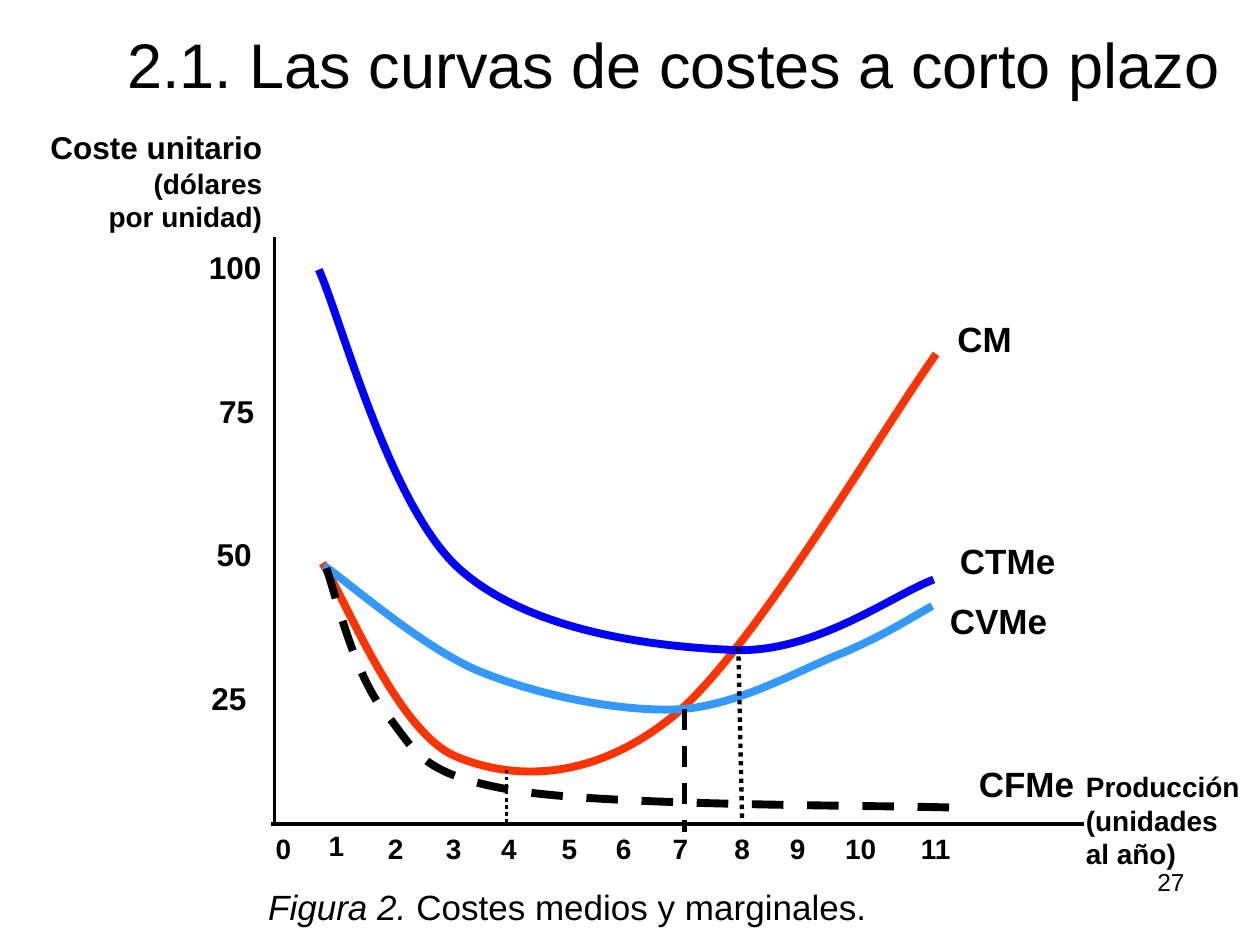
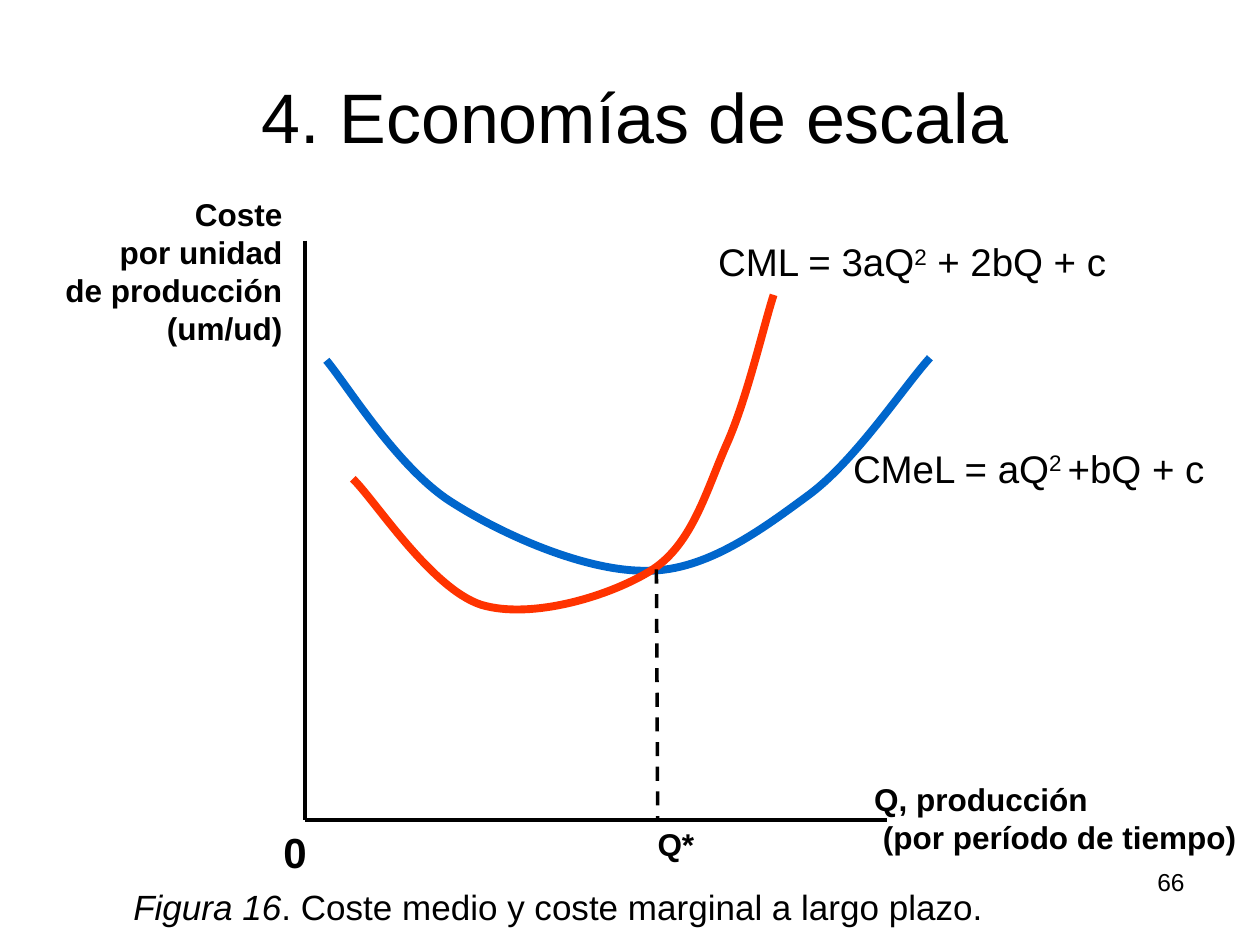
from dataclasses import dataclass

from lxml import etree
from pptx import Presentation
from pptx import util as u
from pptx.dml.color import RGBColor
from pptx.enum import dml, shapes, text
from pptx.oxml.ns import qn

FONT = "Arial"
COLORS = {"ink": "000000", "marginal": "FF3300", "variable": "3399FF",
          "total": "0000FF", "average": "0066CC"}
DASH = dml.MSO_LINE.DASH
DOTS = dml.MSO_LINE.ROUND_DOT
RIGHT, CENTER = text.PP_ALIGN.RIGHT, text.PP_ALIGN.CENTER

prs = Presentation()
prs.slide_width, prs.slide_height = u.Inches(10), u.Inches(7.5)
COL, ROW = prs.slide_width / 100, prs.slide_height / 75


@dataclass
class Box:
    """A region in grid columns and rows; plots count up from its lower left corner."""
    left: float
    top: float
    width: float
    height: float

    def point(self, x, y):
        return (round((self.left + x) * COL),
                round((self.top + self.height - y) * ROW))

    def inner(self, x, y, width, height):
        return Box(self.left + x, self.top + self.height - y, width, height)


def add_text(s, box, paras, size=18, bold=False, align=None, anchor=None,
             wrap=False, spacing=None, inset=True):
    """Each paragraph is a list of (text, overrides) runs."""
    sp = s.shapes.add_textbox(round(box.left * COL), round(box.top * ROW),
                              round(box.width * COL), round(box.height * ROW))
    tf = sp.text_frame
    tf.word_wrap = wrap
    if not wrap:
        tf.auto_size = text.MSO_AUTO_SIZE.SHAPE_TO_FIT_TEXT
    if anchor is not None:
        tf.vertical_anchor = anchor
    if not inset:
        tf.margin_left = tf.margin_right = tf.margin_top = tf.margin_bottom = 0
    for i, runs in enumerate(paras):
        p = tf.add_paragraph() if i else tf.paragraphs[0]
        if align is not None:
            p.alignment = align
        if spacing:
            p.line_spacing = spacing
        for words, look in runs:
            r = p.add_run()
            r.text = words
            r.font.name = FONT
            r.font.size = u.Pt(look.get("size", size))
            r.font.bold = bold
            r.font.italic = look.get("italic", False)
            r.font.color.rgb = RGBColor.from_string(COLORS["ink"])
            if look.get("super"):
                r._r.get_or_add_rPr().set("baseline", "30000")


def plain(*lines):
    return [[(line, {})] for line in lines]


def style_line(line, color, width, dash):
    line.color.rgb = RGBColor.from_string(COLORS[color])
    line.width = u.Pt(width)
    if dash:
        line.dash_style = dash


def add_line(s, plot, start, end, width=2, dash=None):
    sp = s.shapes.add_connector(shapes.MSO_CONNECTOR.STRAIGHT,
                                *plot.point(*start), *plot.point(*end))
    style_line(sp.line, "ink", width, dash)
    etree.SubElement(sp._element.spPr, qn("a:effectLst"))


def add_curve(s, plot, color, points, dash=None):
    """Bezier curve: a start, then two controls and an end for each stretch."""
    start, *rest = [plot.point(*pt) for pt in points]
    builder = s.shapes.build_freeform(*start)
    builder.add_line_segments(rest, close=False)
    sp = builder.convert_to_shape()
    sp.shadow.inherit = False
    sp.fill.background()
    style_line(sp.line, color, 4.5, dash)
    # Merge every three straight segments into one cubic stretch
    steps = list(sp._element.iter(qn("a:lnTo")))
    for first, second, third in zip(steps[::3], steps[1::3], steps[2::3]):
        first.tag = qn("a:cubicBezTo")
        for step in (second, third):
            first.append(step[0])
            step.getparent().remove(step)


def add_axes(s, plot, overhang=0):
    add_line(s, plot, (0, plot.height), (0, 0))
    add_line(s, plot, (-overhang, 0), (plot.width, 0))


def add_frame(title, title_box, size, anchor, number, figure, caption, caption_box):
    """New slide with title, page number and figure caption."""
    s = prs.slides.add_slide(prs.slide_layouts[6])
    add_text(s, title_box, plain(title), size, align=CENTER, anchor=anchor, wrap=True)
    add_text(s, Box(71.7, 68.3, 23.3, 5.2), plain(number), 14, align=RIGHT, wrap=True)
    add_text(s, caption_box, [[(figure, {"italic": True}), (caption, {})]], 20, wrap=True)
    return s


def short_run_plot(s, plot):
    add_axes(s, plot, overhang=0.3)
    # Axis captions
    add_text(s, plot.inner(63.4, 4.8, 14.8, 9),
             plain("Producción ", "(unidades ", "al año)"), 16, True)
    add_text(s, plot.inner(-18.8, 55.7, 18.8, 9.3),
             [[("Coste unitario", {"size": 18})], *plain("(dólares", "por unidad)")],
             16, True, RIGHT)
    # Scale labels, wide enough for their digits
    for i, x in enumerate([-6, -5.6, -5.4, -6.2]):
        value = 25 * (i + 1)
        add_text(s, plot.inner(x, 12 + 11.4 * i, 6.3 if value == 100 else 4.9, 4),
                 plain(str(value)), 18, True)
    tick_lefts = [-0.9, 3.3, 8, 12.6, 17, 21.8, 26.1, 30.6, 35.5, 39.9, 44.3, 50.3]
    for n, x in enumerate(tick_lefts):
        add_text(s, plot.inner(x, 0.1 if n == 1 else -0.1, 3.3 if n < 10 else 4.6, 3.6),
                 plain(str(n)), 16, True)
    # Cost curves
    add_curve(s, plot, "marginal", [
        (3.8, 20.7), (5.5, 18.1), (9.7, 7.4), (14.3, 5.4), (19, 3.4), (25.4, 3.4),
        (31.8, 8.7), (38.1, 14), (48.2, 31.3), (52.5, 37.3)])
    add_curve(s, plot, "variable", [
        (3.9, 20.5), (6, 19.1), (11.7, 14), (16.3, 12.1), (21, 10.2), (27.3, 8.9),
        (32.1, 9.1), (36.8, 9.4), (41.6, 12.2), (44.9, 13.5), (48.3, 14.9),
        (50.7, 16.5), (52.2, 17.3)])
    add_curve(s, plot, "total", [
        (3.5, 44), (5.3, 40), (9.1, 25.3), (14.6, 20.3), (20.2, 15.2), (30.5, 14),
        (36.8, 13.8), (43.1, 13.7), (49.1, 18.2), (52.3, 19.4)])
    add_curve(s, plot, "ink", [
        (4.1, 20.3), (4.8, 18.4), (6.3, 11.8), (8.8, 8.8), (11.2, 5.9), (11.3, 4),
        (18.8, 2.7), (26.3, 1.4), (47.9, 1.5), (53.8, 1.3)], DASH)
    for name, x, y, width in [("CM", 53.2, 40.7, 6.3), ("CTMe", 53.4, 23.1, 9.6),
                              ("CVMe", 52.6, 18.3, 9.7), ("CFMe", 54.9, 5.4, 9.6)]:
        add_text(s, plot.inner(x, y, width, 4.3), plain(name), 20, True)
    # Guides at the minimum points
    add_line(s, plot, (32.5, 9.1), (32.5, -0.6), 3, DASH)
    add_line(s, plot, (18.4, 4.3), (18.4, 0), 2, DOTS)
    add_line(s, plot, (36.8, 14), (37.1, 0.2), 2.5, DOTS)


def long_run_plot(s, plot):
    add_axes(s, plot)
    # Axis captions; the larger space sets the line height
    gap = (" ", {"size": 24})
    add_text(s, plot.inner(44.2, 3.1, 31.6, 6.6),
             [[("Q, producción", {})], [(" (por período de tiempo)", {}), gap]],
             18, True, spacing=0.8)
    add_text(s, plot.inner(-20, 50.1, 19.2, 13),
             plain("Coste", "por unidad", "de producción", "(um/ud)"), 18, True, RIGHT)
    # Cost curves
    add_curve(s, plot, "average", [
        (1.7, 36.5), (3.3, 34.6), (7.2, 28.2), (11.4, 25.4), (15.7, 22.6), (22.4, 19.7),
        (27.2, 19.8), (31.9, 19.8), (36.3, 23.1), (40.1, 25.9), (43.8, 28.7),
        (47.6, 34.5), (49.6, 36.7)])
    add_curve(s, plot, "marginal", [
        (3.8, 27.1), (5.5, 25.5), (10, 18.4), (14, 17.1), (18, 15.9), (24.3, 17.8),
        (27.6, 19.9), (30.8, 22), (31.9, 26.3), (33.5, 29.9), (35.1, 33.5),
        (36.4, 39.2), (37.2, 41.7)])
    # Formulas
    add_text(s, plot.inner(32.8, 46.2, 38, 3.7),
             [[("CML = 3aQ", {}), ("2", {"super": True}), (" + 2bQ + c ", {})]],
             22, wrap=True, inset=False)
    add_text(s, plot.inner(43.5, 29.8, 28.5, 3.7),
             [[("CMeL = aQ", {}), ("2 ", {"super": True}), ("+bQ + c", {})]],
             22, inset=False)
    # Optimum and origin
    add_line(s, plot, (27.9, 19.9), (28, 0), 2, DASH)
    add_text(s, plot.inner(27, 0.2, 5.8, 4.2), [[("Q*", {}), gap]], 18, True, spacing=0.8)
    add_text(s, plot.inner(-2.7, -0.8, 4.8, 4.2), plain("0 "), 24, True, spacing=0.8)


s = add_frame("2.1. Las curvas de costes a corto plazo", Box(6.9, 0, 93.1, 8.5), 36,
              text.MSO_ANCHOR.BOTTOM, "27", "Figura 2.",
              " Costes medios y marginales.", Box(20.3, 69.8, 71.1, 5.2))
short_run_plot(s, Box(21.8, 18.8, 64.2, 46.6))

s = add_frame("4. Economías de escala", Box(5.4, 2.9, 90, 12.5), 40,
              text.MSO_ANCHOR.MIDDLE, "66", "Figura 16",
              ". Coste medio y coste marginal a largo plazo.", Box(9.6, 69.8, 77.7, 5.2))
long_run_plot(s, Box(24.2, 19.1, 46.2, 46))

prs.save("out.pptx")
